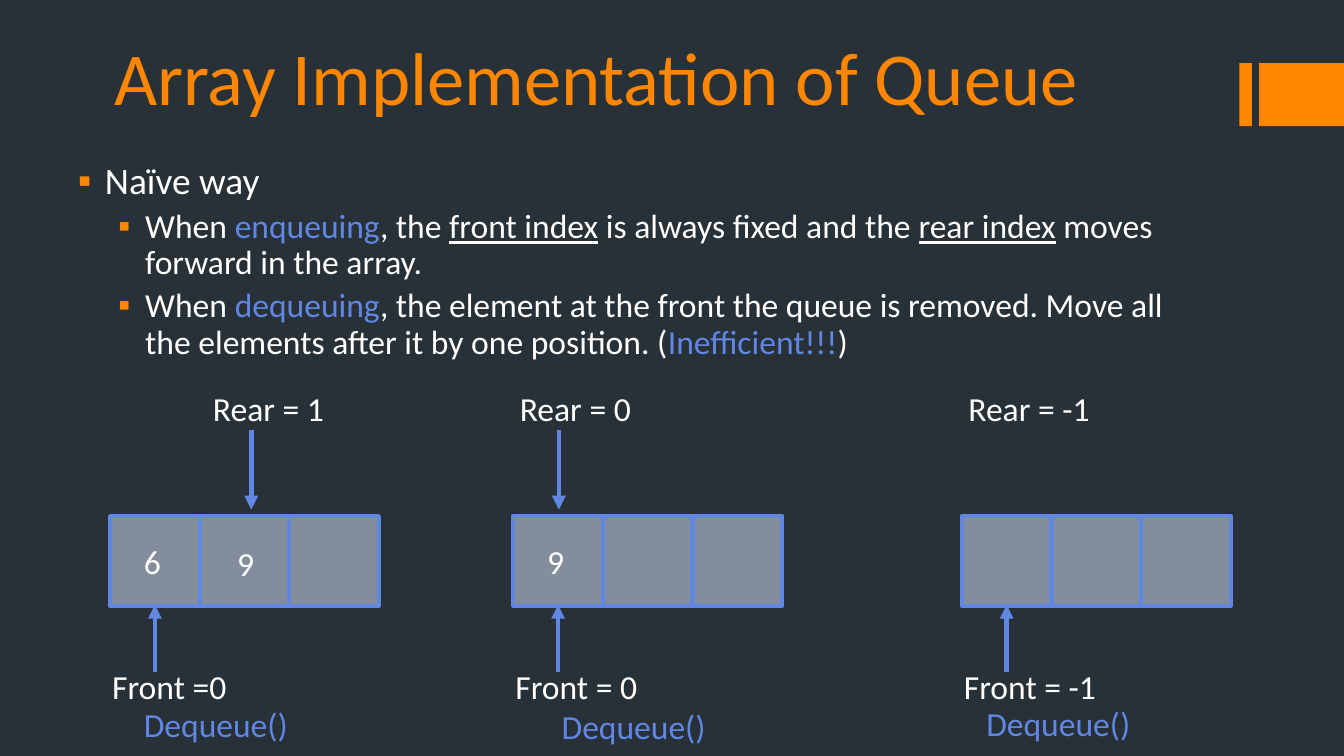
from dataclasses import dataclass

from lxml.etree import SubElement
from pptx import Presentation
from pptx.dml.color import RGBColor
from pptx.enum.shapes import MSO_CONNECTOR as Connector, MSO_SHAPE as Shape
from pptx.enum.text import MSO_ANCHOR as Anchor, MSO_AUTO_SIZE as AutoSize, PP_ALIGN as Align
from pptx.oxml.ns import qn
from pptx.util import Pt


@dataclass(frozen=True)
class Theme:
    background: str = "283138"
    orange: str = "FF8600"
    white: str = "FFFFFF"
    blue: str = "6187E3"
    cell: str = "838D9B"
    font: str = "Calibri"
    title_size: int = 40
    body_size: int = 20
    text_size: int = 18


@dataclass(frozen=True)
class Queue:
    left: float
    values: tuple
    front: str
    rear: str
    rear_label: float
    rear_arrow: float | None
    dequeue: tuple


THEME = Theme()
CELL = 48
CELL_TOP = 276.5
QUEUES = (
    Queue(59, ("6", "9", ""), "Front =0", "Rear = 1", 48, 75.6, (11, 373.7)),
    Queue(275, ("9", "", ""), "Front = 0", "Rear = 0", -3.6, 24.4, (18.8, 374.4)),
    Queue(515.3, ("", "", ""), "Front = -1", "Rear = -1", -3.6, None, (6, 373)),
)
BODY = (
    (0, (("Naïve way", {}),)),
    (1, (
        ("When ", {}),
        ("enqueuing", {"color": THEME.blue}),
        (", the ", {}),
        ("front index", {"underline": True}),
        (" is always fixed and the ", {}),
        ("rear index", {"underline": True}),
        (" moves forward in the array.", {}),
    )),
    (1, (
        ("When ", {}),
        ("dequeuing", {"color": THEME.blue}),
        (", the element at the front the queue is removed. "
         "Move all the elements after it by one position. (", {}),
        ("Inefficient!!!", {"color": THEME.blue}),
        (")", {}),
    )),
)


def set_formats(target, formats):
    for name, value in formats.items():
        setattr(target, name, value)


def place(shape, left, top, width, height):
    box = {"left": left, "top": top, "width": width, "height": height}
    set_formats(shape, {name: Pt(value) for name, value in box.items()})


def add_run(paragraph, text, size=THEME.text_size, color=THEME.white, **formats):
    run = paragraph.add_run()
    run.text = text
    set_formats(run.font, {"name": THEME.font, "size": Pt(size), **formats})
    run.font.color.rgb = RGBColor.from_string(color)


def add_bullet(paragraph, indent):
    properties = paragraph._p.get_or_add_pPr()
    properties.set("marL", str(Pt(indent)))
    properties.set("indent", str(Pt(-14.4)))
    color = SubElement(properties, qn("a:buClr"))
    SubElement(color, qn("a:srgbClr"), val=THEME.orange)
    SubElement(properties, qn("a:buFont"), typeface=THEME.font)
    SubElement(properties, qn("a:buChar"), char="▪")


def add_rectangle(slide, left, top, width, height, fill, line=None):
    shape = slide.shapes.add_shape(Shape.RECTANGLE, *map(Pt, (left, top, width, height)))
    shape.shadow.inherit = False
    shape.fill.solid()
    shape.fill.fore_color.rgb = RGBColor.from_string(fill)
    if line:
        shape.line.color.rgb = RGBColor.from_string(line)
        shape.line.width = Pt(2.25)
    else:
        shape.line.fill.background()


def add_label(slide, text, left, top, width=96, color=THEME.white):
    frame = slide.shapes.add_textbox(*map(Pt, (left, top, width, 29))).text_frame
    frame.word_wrap = True
    add_run(frame.paragraphs[0], text, color=color)


def add_arrow(slide, x, start, end):
    arrow = slide.shapes.add_connector(Connector.STRAIGHT, *map(Pt, (x, start, x, end)))
    arrow.line.color.rgb = RGBColor.from_string(THEME.blue)
    arrow.line.width = Pt(2.5)
    SubElement(arrow.line._get_or_add_ln(), qn("a:tailEnd"), type="triangle")
    SubElement(arrow._element.spPr, qn("a:effectLst"))


def fill_title(slide):
    title = slide.shapes.title
    place(title, 54, 0, 576, 68.4)
    set_formats(title.text_frame, {
        "vertical_anchor": Anchor.BOTTOM, "auto_size": AutoSize.NONE, "word_wrap": True,
    })
    paragraph = title.text_frame.paragraphs[0]
    paragraph.alignment = Align.LEFT
    add_run(paragraph, "Array Implementation of Queue", THEME.title_size, THEME.orange)


def fill_body(slide):
    body = slide.placeholders[1]
    place(body, 31, 83.5, 617, 289.5)
    frame = body.text_frame
    set_formats(frame, {"auto_size": AutoSize.NONE, "word_wrap": True})
    for index, (level, runs) in enumerate(BODY):
        paragraph = frame.add_paragraph() if index else frame.paragraphs[0]
        add_bullet(paragraph, 39.6 if level else 18)
        set_formats(paragraph, {
            "level": level, "line_spacing": 0.9, "space_before": Pt(3.6 if index else 0),
        })
        size = THEME.text_size if level else THEME.body_size
        for text, formats in runs:
            add_run(paragraph, text, size, **formats)


def draw_queue(slide, queue):
    for index in range(len(queue.values)):
        add_rectangle(slide, queue.left + index * CELL, CELL_TOP, CELL, CELL,
                      THEME.cell, THEME.blue)
    for index, value in enumerate(queue.values):
        if value:
            add_label(slide, value, queue.left + 11 + index * 50, 286 + index * 1.5, 24)
    add_label(slide, queue.front, queue.left - 6, 353)
    add_arrow(slide, queue.left + CELL / 2, 360, 324)
    add_label(slide, queue.rear, queue.left + queue.rear_label, 204.5)
    if queue.rear_arrow is not None:
        add_arrow(slide, queue.left + queue.rear_arrow, 230.5, 273)
    offset, top = queue.dequeue
    add_label(slide, "Dequeue()", queue.left + offset, top, 139, THEME.blue)


def main():
    presentation = Presentation()
    set_formats(presentation, {"slide_width": Pt(720), "slide_height": Pt(405)})
    slide = presentation.slides.add_slide(presentation.slide_layouts[1])
    slide.background.fill.solid()
    slide.background.fill.fore_color.rgb = RGBColor.from_string(THEME.background)
    for left, width in ((664, 6.7), (674.6, 45.4)):
        add_rectangle(slide, left, 33.8, width, 33.8, THEME.orange)
    fill_title(slide)
    fill_body(slide)
    for queue in QUEUES:
        draw_queue(slide, queue)
    presentation.save("out.pptx")


if __name__ == "__main__":
    main()
